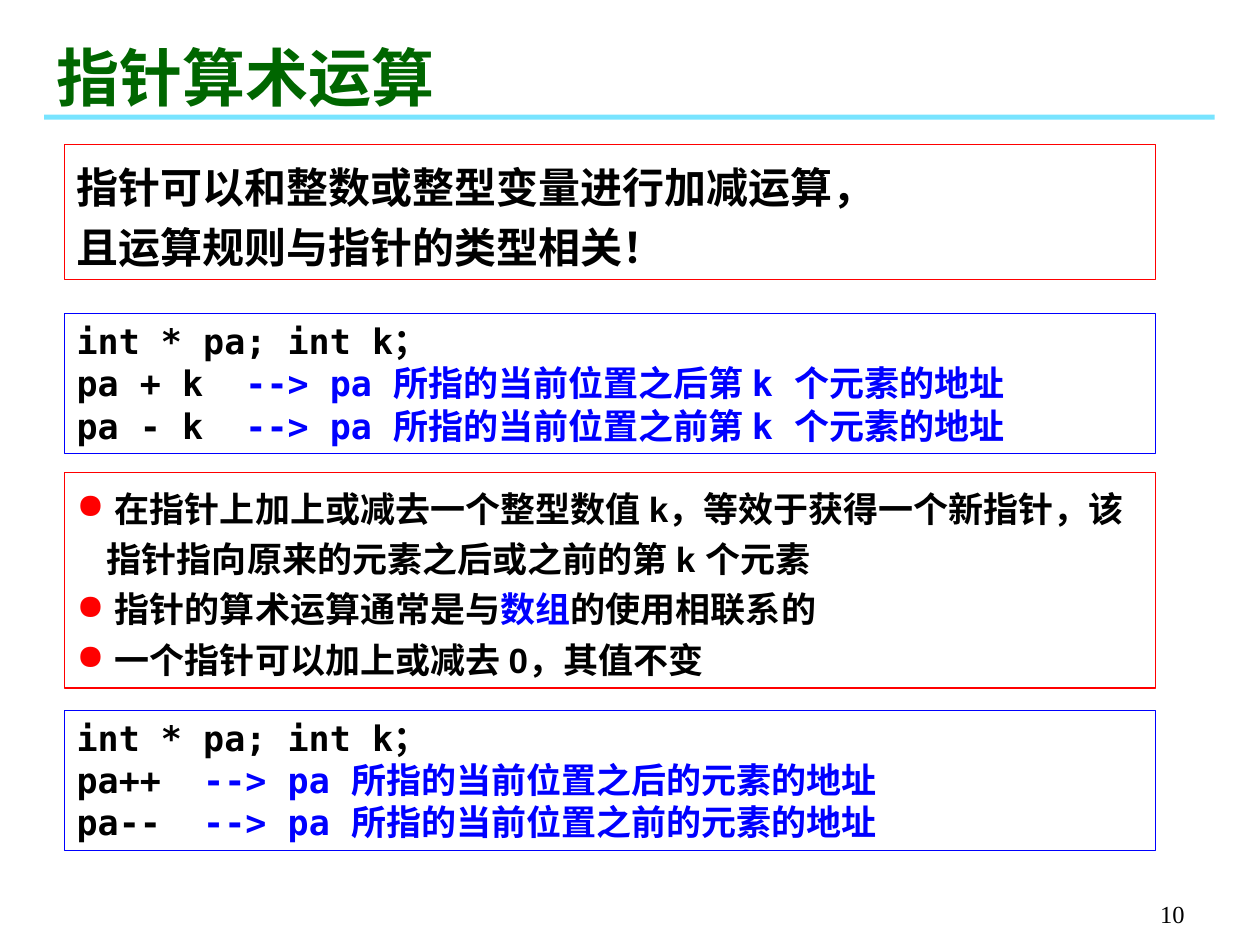
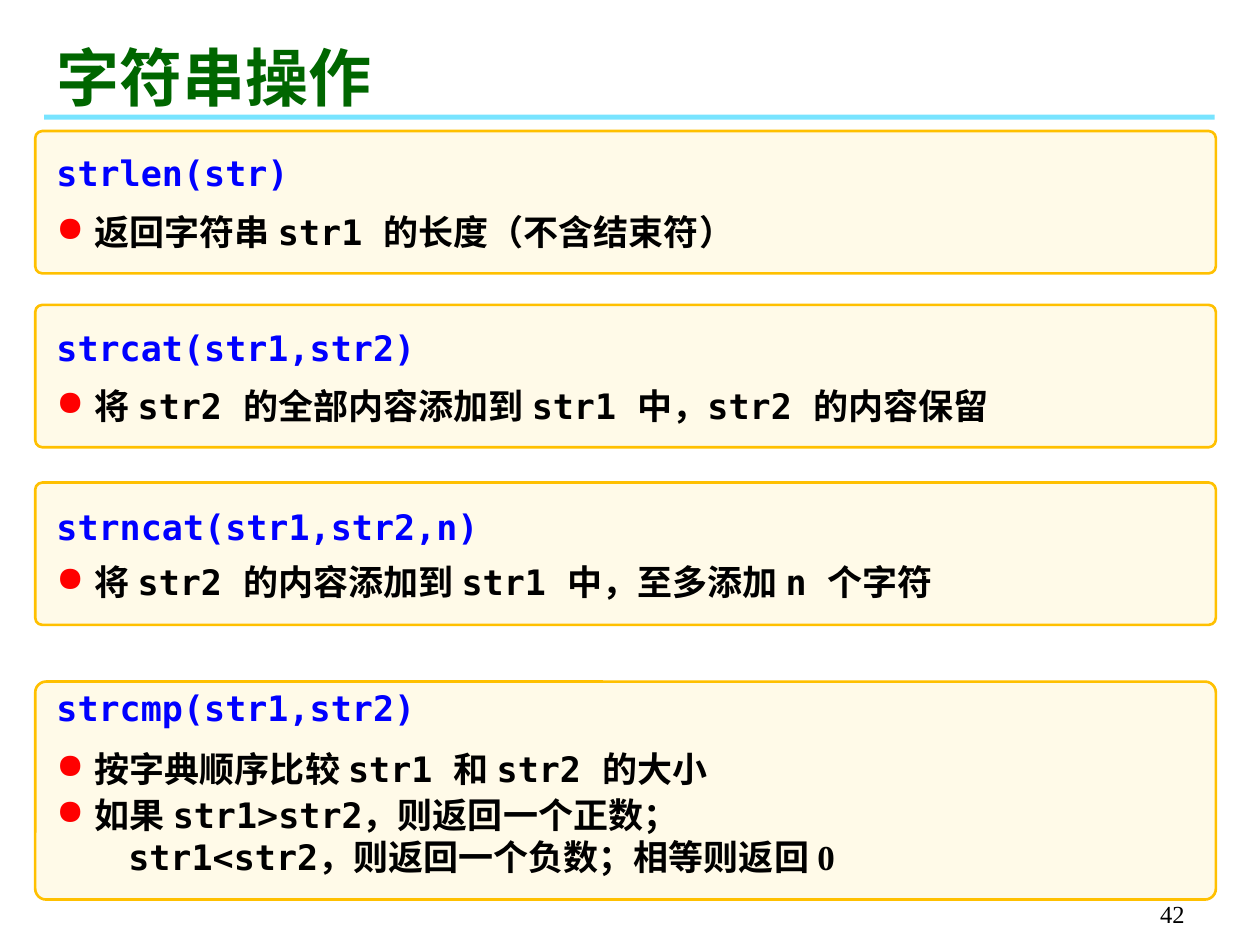
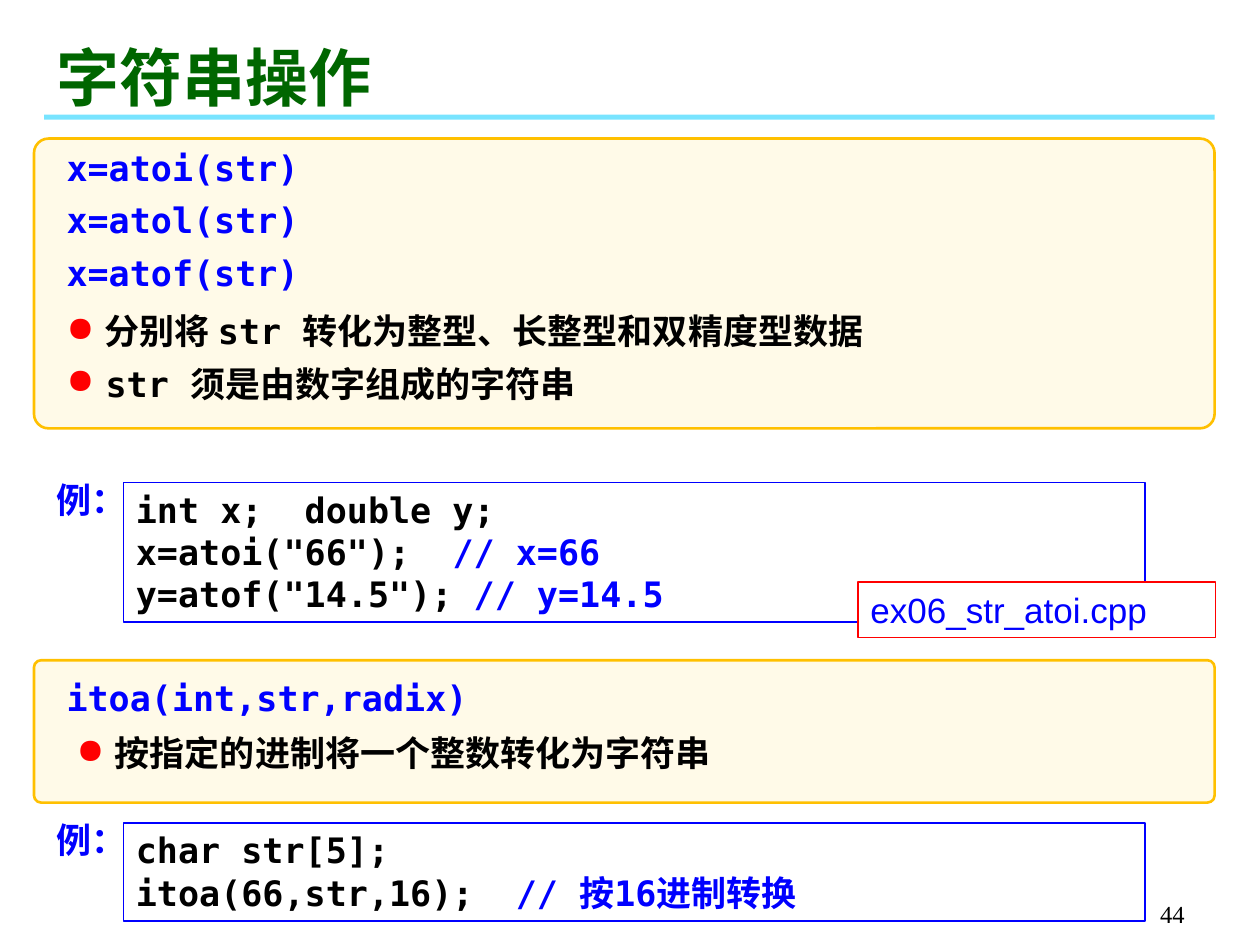
"""Build three lecture slides on pointer arithmetic and string functions."""
from lxml import etree
from pptx import Presentation, util as u
from pptx.dml.color import RGBColor
from pptx.enum import shapes, text
from pptx.oxml.ns import qn

MONO, SERIF, SANS = "DejaVu Sans Mono", "Times New Roman", "Arial"
BLACK, BLUE, RED, GREEN = "000000", "0000FF", "FF0000", "006600"
SKY, CREAM, GOLD, WHITE = "00CCFF", "FFF5CC", "FFC000", "FFFFFF"
RECT, ROUND = shapes.MSO_SHAPE.RECTANGLE, shapes.MSO_SHAPE.ROUNDED_RECTANGLE
LEFT, RIGHT = text.PP_ALIGN.LEFT, text.PP_ALIGN.RIGHT
TOP, BOTTOM = text.MSO_ANCHOR.TOP, text.MSO_ANCHOR.BOTTOM

deck = Presentation()
deck.slide_width, deck.slide_height = u.Inches(10), u.Inches(7.5)
column, row = deck.slide_width / 100, deck.slide_height / 75
hue = RGBColor.from_string


def place(slide, at, kind=None, fill=None, opacity=100, line=None, weight=0.75):
    """Add a text box, or a preset shape, at grid columns and rows."""
    left, top, width, height = at
    frame = [round(n) for n in (left * column, top * row, width * column, height * row)]
    if kind is None:
        return slide.shapes.add_textbox(*frame)
    shape = slide.shapes.add_shape(kind, *frame)
    shape.shadow.inherit = False
    if kind == ROUND:
        shape.adjustments[0] = 0.05
    if fill:
        shape.fill.solid()
        shape.fill.fore_color.rgb = hue(fill)
        if opacity < 100:
            tint = shape.fill._xPr.find(f"{qn('a:solidFill')}/{qn('a:srgbClr')}")
            etree.SubElement(tint, qn("a:alpha"), val=str(opacity * 1000))
    else:
        shape.fill.background()
    if line:
        shape.line.color.rgb = hue(line)
        shape.line.width = u.Pt(weight)
    else:
        shape.line.fill.background()
    return shape


def write(shape, words, font=MONO, size=20, color=BLACK, bold=True, alt_font=None, alt_color=None,
          bullet=False, gap=0, spacing=None, align=LEFT, anchor=TOP):
    """Write lines; "|" toggles the alternative style, a leading tab continues a bullet."""
    frame = shape.text_frame
    frame.word_wrap, frame.auto_size = True, text.MSO_AUTO_SIZE.NONE
    frame.vertical_anchor = anchor
    for number, line in enumerate(words.split("\n")):
        paragraph = frame.paragraphs[0] if number == 0 else frame.add_paragraph()
        paragraph.alignment = align
        if spacing:
            paragraph.line_spacing = spacing
        continued = line.startswith("\t")
        if number and gap and not continued:
            paragraph.space_before = u.Pt(gap)
        if bullet:
            properties = paragraph._p.get_or_add_pPr()
            properties.set("marL", str(u.Inches(0.57 if continued else 0.24)))
            properties.set("indent", str(0 if continued else u.Inches(-0.24)))
            if not continued:
                etree.SubElement(etree.SubElement(properties, qn("a:buClr")), qn("a:srgbClr"), val=RED)
                etree.SubElement(properties, qn("a:buChar"), char="●")
        for part, piece in enumerate(line.lstrip("\t").split("|")):
            if piece:
                run = paragraph.add_run()
                run.text = piece
                run.font.name = alt_font if part % 2 and alt_font else font
                run.font.size, run.font.bold = u.Pt(size), bold
                run.font.color.rgb = hue(alt_color if part % 2 and alt_color else color)


pages = []
for heading, page_number in (("指针算术运算", "10"), ("字符串操作", "42"), ("字符串操作", "44")):
    page = deck.slides.add_slide(deck.slide_layouts[5])
    place(page, (3.5, 9.1, 92.9, 0.4), RECT, SKY, 53)
    title = page.shapes.title
    title.left, title.top = round(3.5 * column), round(2.6 * row)
    title.width, title.height = round(78.3 * column), round(7 * row)
    write(title, heading, font=SERIF, size=36, color=GREEN, anchor=BOTTOM)
    write(place(page, (74.2, 69.2, 20.8, 5)), page_number, font=SERIF, size=14, bold=False,
          align=RIGHT, anchor=BOTTOM)
    pages.append(page)
arithmetic, strings, conversion = pages

rules = {"font": SANS, "spacing": 1.2, "alt_color": BLUE}
code = {"alt_color": BLUE}
for top, height, edge, style, words in (
    (24.9, 11.1, BLUE, code, "int * pa; int k；\n"
     "pa + k | --> pa 所指的当前位置之后第 k 个元素的地址\n"
     "pa - k | --> pa 所指的当前位置之前第 k 个元素的地址"),
    (11.5, 10.7, RED, {**rules, "size": 24},
     "指针可以和整数或整型变量进行加减运算，\n且运算规则与指针的类型相关！"),
    (37.5, 17.1, RED, {**rules, "bullet": True},
     " 在指针上加上或减去一个整型数值 k，等效于获得一个新指针，该指针指向原来的元素之后或之前的第 k 个元素\n"
     " 指针的算术运算通常是与|数组|的使用相联系的\n"
     " 一个指针可以加上或减去 0，其值不变"),
    (56.4, 11.1, BLUE, code, "int * pa; int k；\n"
     "pa++ | --> pa 所指的当前位置之后的元素的地址\n"
     "pa-- | --> pa 所指的当前位置之前的元素的地址"),
):
    write(place(arithmetic, (5.1, top, 86.6, height), RECT, line=edge), words, **style)

panel = {"kind": ROUND, "fill": CREAM, "opacity": 45, "line": GOLD, "weight": 1.5}
note = {"font": SERIF, "alt_font": MONO, "bullet": True}
for top, height, call_top, note_top, note_height, call, notes in (
    (10.4, 11.3, 11.5, 16.2, 4.4, "strlen(str)", " 返回字符串 |str1 |的长度（不含结束符）"),
    (24.2, 11.3, 25.4, 30, 4.4, "strcat(str1,str2)",
     " 将 |str2 |的全部内容添加到 |str1 |中，|str2 |的内容保留"),
    (38.3, 11.3, 39.6, 44, 4.4, "strncat(str1,str2,n)",
     " 将 |str2 |的内容添加到 |str1 |中，至多添加 |n |个字符"),
    (54.1, 17.3, 54, 58.8, 11.4, "strcmp(str1,str2)",
     " 按字典顺序比较 |str1 |和 |str2 |的大小\n"
     " 如果 |str1>str2|，则返回一个正数；\n"
     "\t|str1<str2|，则返回一个负数；相等则返回 0"),
):
    place(strings, (2.8, top, 93.7, height), **panel)
    write(place(strings, (3.5, call_top, 87.4, 4.4)), call, color=BLUE)
    write(place(strings, (3.5, note_top, 87.4, note_height)), notes, gap=2.3, **note)

for top, height, call_top, call_height, calls, note_left, note_top, note_height, notes in (
    (11, 23, 11.1, 12.8, "x=atoi(str)\nx=atol(str)\nx=atof(str)", 4.3, 24.1, 8.6,
     " 分别将 |str |转化为整型、长整型和双精度型数据\n |str |须是由数字组成的字符串"),
    (52.4, 11.3, 53.2, 4.4, "itoa(int,str,radix)", 5.1, 57.6, 4.4,
     " 按指定的进制将一个整数转化为字符串"),
):
    place(conversion, (2.7, top, 93.7, height), **panel)
    write(place(conversion, (4.3, call_top, 87.4, call_height)), calls, color=BLUE, gap=6)
    write(place(conversion, (note_left, note_top, 87.4, note_height)), notes, gap=6, **note)

for top, height, example in (
    (38.3, 11.1, 'int x;  double y;\nx=atoi("66");  |// x=66\ny=atof("14.5"); |// y=14.5'),
    (65.3, 7.8, "char str[5];\nitoa(66,str,16);  |// 按16进制转换"),
):
    write(place(conversion, (3.5, top - 0.8, 11, 4.4)), "例：", color=BLUE)
    write(place(conversion, (9.8, top, 81.1, height), RECT, line=BLUE, weight=1), example, **code)

source_file = place(conversion, (68.1, 46.2, 28.4, 4.4), RECT, WHITE, line=RED)
write(source_file, "ex06_str_atoi.cpp", font=SANS, color=BLUE, bold=False)

deck.save("out.pptx")
